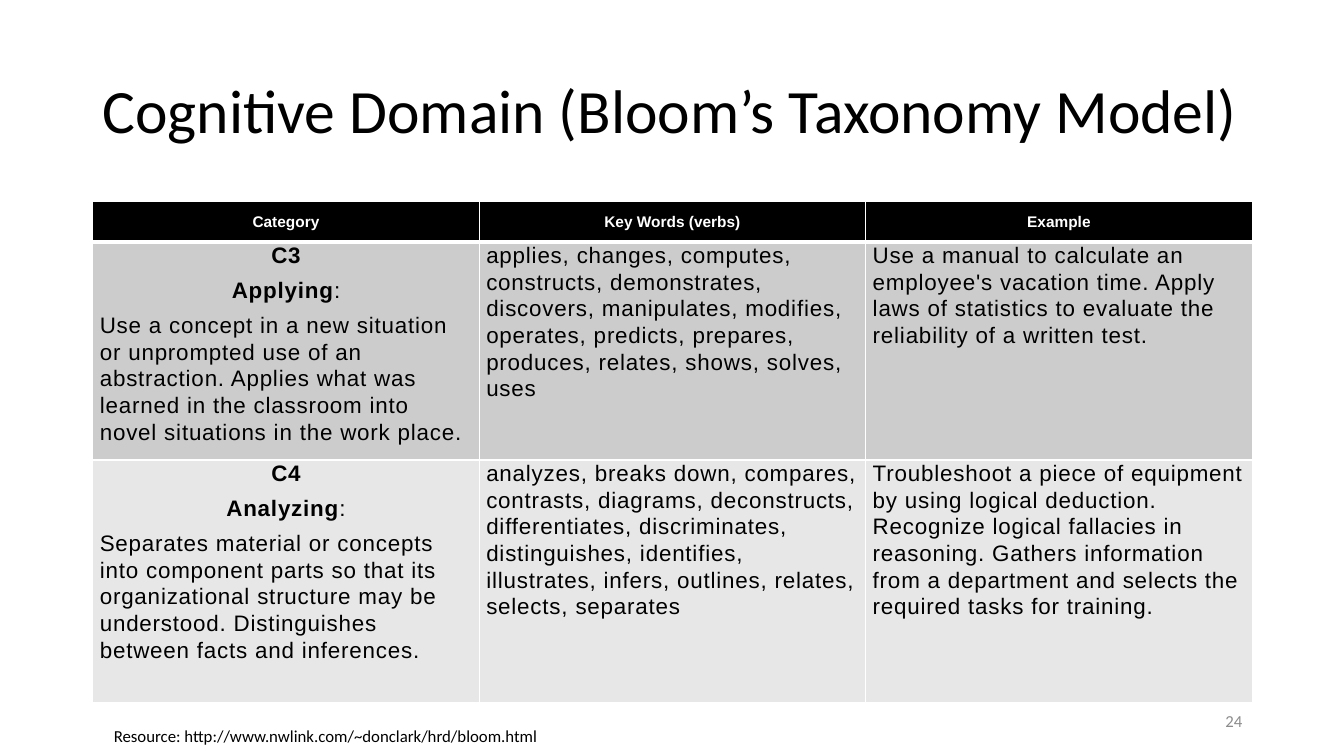
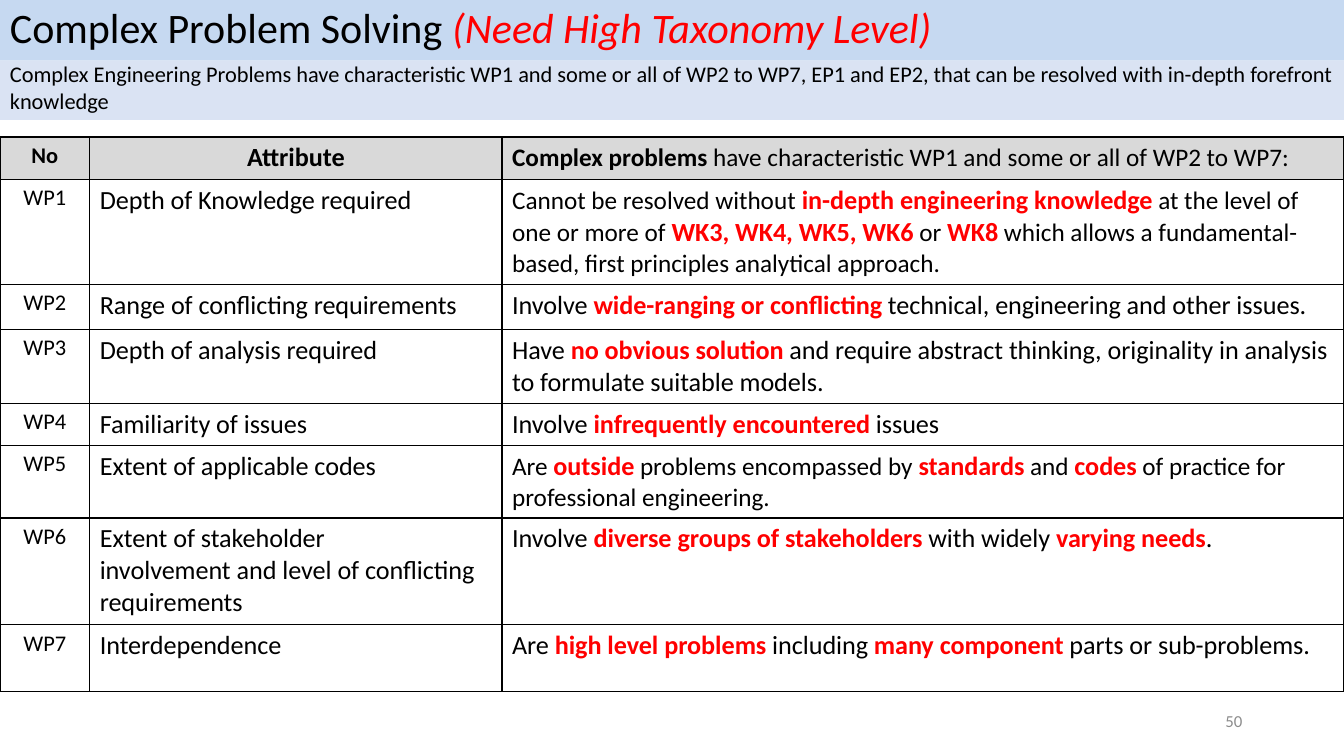
from dataclasses import dataclass
from typing import Optional

import pptx
import pptx.dml.color
import pptx.enum.shapes
import pptx.enum.text
import pptx.oxml.ns
import pptx.util
from lxml import etree

Inches = pptx.util.Inches
Pt = pptx.util.Pt
ALIGN = pptx.enum.text.PP_ALIGN
ANCHOR = pptx.enum.text.MSO_ANCHOR


# Shared look
@dataclass(frozen=True)
class Theme:
    black: str = "000000"
    white: str = "FFFFFF"
    red: str = "FF0000"
    number_gray: str = "8C8C8C"
    header_gray: str = "D9D9D9"
    band_dark: str = "CCCCCC"
    band_light: str = "E7E7E7"
    title_band: str = "C6D9F1"
    subtitle_band: str = "DAE3F3"
    heading_font: str = "Calibri"
    table_font: str = "Arial"
    title: float = 44
    band_title: float = 30
    attribute: float = 18.67
    detail: float = 18
    body: float = 16
    small: float = 12
    bloom_header: float = 11


THEME = Theme()


# Content types
@dataclass(frozen=True)
class Run:
    text: str
    bold: bool = False
    italic: bool = False
    color: Optional[str] = None
    size: Optional[float] = None


@dataclass(frozen=True)
class Para:
    runs: tuple[Run, ...]
    size: float
    font: str = THEME.heading_font
    color: str = THEME.black
    align: ALIGN = ALIGN.LEFT
    line: float = 1.0
    after: float = 0
    tracking: float = 0


@dataclass(frozen=True)
class Box:
    left: float
    top: float
    width: float
    height: float

    def lengths(self) -> list[int]:
        return [Inches(v) for v in (self.left, self.top, self.width, self.height)]


@dataclass(frozen=True)
class Cell:
    paras: tuple[Para, ...]
    fill: Optional[str] = None
    anchor: ANCHOR = ANCHOR.TOP


@dataclass(frozen=True)
class Grid:
    box: Box
    columns: tuple[float, ...]
    rows: tuple[float, ...]
    insets: tuple[float, float]
    border: str
    header_rule: float = 1


@dataclass(frozen=True)
class BloomLevel:
    code: str
    verb: str
    definition: str
    key_words: str
    example: str
    fill: str
    height: float


@dataclass(frozen=True)
class Problem:
    attribute: tuple[str, ...]
    description: str  # asterisks enclose the emphasised words
    height: float
    plain_size: float = THEME.attribute


BLOOM_HEADINGS = ("Category", "Key Words (verbs)", "Example")
BLOOM_LEVELS = (
    BloomLevel(
        "C3", "Applying",
        "Use a concept in a new situation or unprompted use of an abstraction. Applies what was "
        "learned in the classroom into novel situations in the work place.",
        "applies, changes, computes, constructs, demonstrates, discovers, manipulates, modifies, "
        "operates, predicts, prepares, produces, relates, shows, solves, uses",
        "Use a manual to calculate an employee's vacation time. Apply laws of statistics to "
        "evaluate the reliability of a written test.",
        THEME.band_dark, 2.07),
    BloomLevel(
        "C4", "Analyzing",
        "Separates material or concepts into component parts so that its organizational structure "
        "may be understood. Distinguishes between facts and inferences.",
        "analyzes, breaks down, compares, contrasts, diagrams, deconstructs, differentiates, "
        "discriminates, distinguishes, identifies, illustrates, infers, outlines, relates, "
        "selects, separates",
        "Troubleshoot a piece of equipment by using logical deduction. Recognize logical fallacies "
        "in reasoning. Gathers information from a department and selects the required tasks for "
        "training.",
        THEME.band_light, 2.41),
)
PROBLEMS = (
    Problem(("Depth of Knowledge required",),
            "Cannot be resolved without *in-depth engineering knowledge *at the level of one or "
            "more of *WK3, WK4, WK5, WK6 *or *WK8* which allows a fundamental-based, first "
            "principles analytical approach.", 1.04, THEME.detail),
    Problem(("Range of conflicting requirements",),
            "Involve *wide-ranging or conflicting *technical, engineering and other issues.", 0.45),
    Problem(("Depth of analysis required",),
            "Have *no obvious solution *and require abstract thinking, originality in analysis to "
            "formulate suitable models.", 0.73),
    Problem(("Familiarity of issues",),
            "Involve *infrequently encountered* issues", 0.42),
    Problem(("Extent of applicable codes",),
            "Are *outside* problems encompassed by *standards* and *codes* of practice for "
            "professional engineering.", 0.72, THEME.detail),
    Problem(("Extent of stakeholder", "involvement and level of conflicting requirements"),
            "Involve *diverse groups of stakeholders *with widely *varying needs*.", 1.06),
    Problem(("Interdependence",),
            "Are *high level problems *including *many component *parts or sub-problems.", 0.66),
)


# Drawing helpers
def rgb(color: str) -> pptx.dml.color.RGBColor:
    return pptx.dml.color.RGBColor.from_string(color)


def write(frame, paras: tuple[Para, ...]) -> None:
    for index, para in enumerate(paras):
        line = frame.paragraphs[0] if index == 0 else frame.add_paragraph()
        line.alignment = para.align
        line.line_spacing = para.line
        line.space_after = Pt(para.after)
        line.font.name = para.font
        line.font.size = Pt(para.size)
        line.font.color.rgb = rgb(para.color)
        for part in para.runs:
            run = line.add_run()
            run.text = part.text
            run.font.bold = part.bold
            if part.italic:
                run.font.italic = True
            if part.color:
                run.font.color.rgb = rgb(part.color)
            if part.size:
                run.font.size = Pt(part.size)
            if para.tracking:
                run.font._rPr.set("spc", str(round(para.tracking * 100)))


def add_text(slide, box: Box, para: Para, anchor: ANCHOR = ANCHOR.MIDDLE,
             fill: Optional[str] = None, top_inset: float = 0.05) -> None:
    if fill:
        shape = slide.shapes.add_shape(pptx.enum.shapes.MSO_SHAPE.RECTANGLE, *box.lengths())
        shape.shadow.inherit = False
        shape.fill.solid()
        shape.fill.fore_color.rgb = rgb(fill)
        shape.line.fill.background()
    else:
        shape = slide.shapes.add_textbox(*box.lengths())
    frame = shape.text_frame
    frame.word_wrap = True
    frame.vertical_anchor = anchor
    frame.margin_top = Inches(top_inset)
    write(frame, (para,))


def add_border(cell, side: str, color: str, width: float) -> None:
    qn = pptx.oxml.ns.qn
    line = etree.SubElement(cell._tc.get_or_add_tcPr(), qn(f"a:ln{side}"), w=str(Pt(width)))
    fill = etree.SubElement(line, qn("a:solidFill"))
    etree.SubElement(fill, qn("a:srgbClr"), val=color)


def add_grid(slide, grid: Grid, content: list[tuple[Cell, ...]]) -> None:
    table = slide.shapes.add_table(len(grid.rows), len(grid.columns), *grid.box.lengths()).table
    table.first_row = table.horz_banding = False
    for column, width in zip(table.columns, grid.columns):
        column.width = Inches(width)
    for r, (row, height, entries) in enumerate(zip(table.rows, grid.rows, content)):
        row.height = Inches(height)
        for cell, entry in zip(row.cells, entries):
            cell.margin_left = cell.margin_right = Inches(grid.insets[0])
            cell.margin_top = cell.margin_bottom = Inches(grid.insets[1])
            cell.vertical_anchor = entry.anchor
            rules = {"L": 1, "R": 1, "T": grid.header_rule if r == 1 else 1,
                     "B": grid.header_rule if r == 0 else 1}
            for side, rule in rules.items():
                add_border(cell, side, grid.border, rule)
            if entry.fill:
                cell.fill.solid()
                cell.fill.fore_color.rgb = rgb(entry.fill)
            else:
                cell.fill.background()
            write(cell.text_frame, entry.paras)


def add_page_number(slide, number: int) -> None:
    add_text(slide, Box(9.42, 6.95, 3, 0.4),
             Para((Run(str(number)),), THEME.small, color=THEME.number_gray, align=ALIGN.RIGHT))


# Bloom's taxonomy slide
def bloom_para(*runs: Run, align: ALIGN = ALIGN.LEFT) -> Para:
    return Para(runs, THEME.body, THEME.table_font, align=align, line=1.07, after=6, tracking=0.6)


def bloom_row(level: BloomLevel) -> tuple[Cell, ...]:
    category = (bloom_para(Run(level.code, bold=True), align=ALIGN.CENTER),
                bloom_para(Run(level.verb, bold=True), Run(":"), align=ALIGN.CENTER),
                bloom_para(Run(level.definition)))
    return (Cell(category, level.fill),
            *(Cell((bloom_para(Run(text)),), level.fill)
              for text in (level.key_words, level.example)))


def build_bloom(slide) -> None:
    add_text(slide, Box(0.92, 0.4, 11.5, 1.45),
             Para((Run("Cognitive Domain (Bloom’s Taxonomy Model)"),), THEME.title, line=0.9))
    header = tuple(
        Cell((Para((Run(text, bold=True),), THEME.bloom_header, THEME.table_font, THEME.white,
                   ALIGN.CENTER, 1.07, 6),), THEME.black, ANCHOR.MIDDLE)
        for text in BLOOM_HEADINGS)
    heights = (0.4, *(level.height for level in BLOOM_LEVELS))
    add_grid(slide, Grid(Box(0.92, 2, 11.5, sum(heights)), (11.5 / 3,) * 3, heights, (0.07, 0),
                         THEME.white, header_rule=3),
             [header, *map(bloom_row, BLOOM_LEVELS)])
    add_text(slide, Box(1.03, 7.15, 8.19, 0.3),
             Para((Run("Resource: http://www.nwlink.com/~donclark/hrd/bloom.html"),), THEME.small),
             ANCHOR.TOP)
    add_page_number(slide, 24)


# Complex problem slide
def problem_row(number: int, problem: Problem) -> tuple[Cell, ...]:
    description = tuple(
        Run(text, bold=True, color=THEME.red, size=THEME.attribute) if i % 2 else Run(text)
        for i, text in enumerate(problem.description.split("*")))
    return (Cell((Para((Run(f"WP{number}"),), THEME.body, align=ALIGN.CENTER),)),
            Cell(tuple(Para((Run(text),), THEME.attribute) for text in problem.attribute)),
            Cell((Para(description, problem.plain_size),)))


def build_problems(slide) -> None:
    header = (
        Cell((Para((Run("No", bold=True),), THEME.body, align=ALIGN.CENTER),), THEME.header_gray),
        Cell((Para((Run("Attribute", bold=True),), THEME.attribute, align=ALIGN.CENTER),),
             THEME.header_gray),
        Cell((Para((Run("Complex problems ", bold=True),
                    Run("have characteristic WP1 and some or all of WP2 to WP7:")),
                   THEME.detail),), THEME.header_gray))
    heights = (0.42, *(problem.height for problem in PROBLEMS))
    add_grid(slide, Grid(Box(0, 1.36, 13.33, sum(heights)), (0.89, 4.09, 8.35), heights,
                         (0.1, 0.05), THEME.black),
             [header, *(problem_row(n, problem) for n, problem in enumerate(PROBLEMS, 1))])
    add_text(slide, Box(0, 0.6, 13.33, 0.59),
             Para((Run("Complex Engineering Problems have characteristic WP1 and some or all of "
                       "WP2 to WP7, EP1 and EP2, that can be resolved with in-depth forefront "
                       "knowledge"),), THEME.body),
             ANCHOR.TOP, THEME.subtitle_band, top_inset=0)
    add_text(slide, Box(0, 0, 13.33, 0.6),
             Para((Run("Complex Problem Solving "),
                   Run("(Need High Taxonomy Level)", italic=True, color=THEME.red)),
                  THEME.band_title, line=0.9), fill=THEME.title_band)
    add_page_number(slide, 50)


def main() -> None:
    deck = pptx.Presentation()
    deck.slide_width, deck.slide_height = Inches(13.33), Inches(7.5)
    for build in (build_bloom, build_problems):
        build(deck.slides.add_slide(deck.slide_layouts[6]))
    deck.save("out.pptx")


if __name__ == "__main__":
    main()
